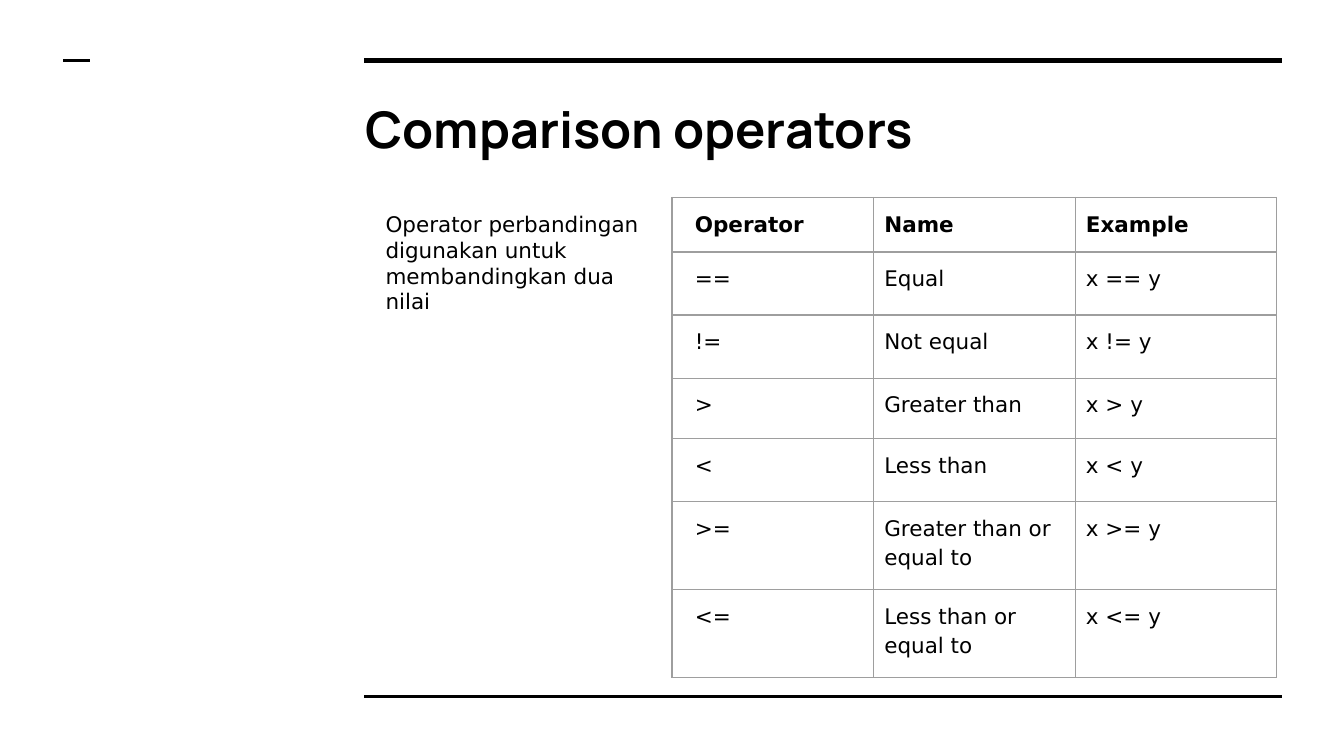
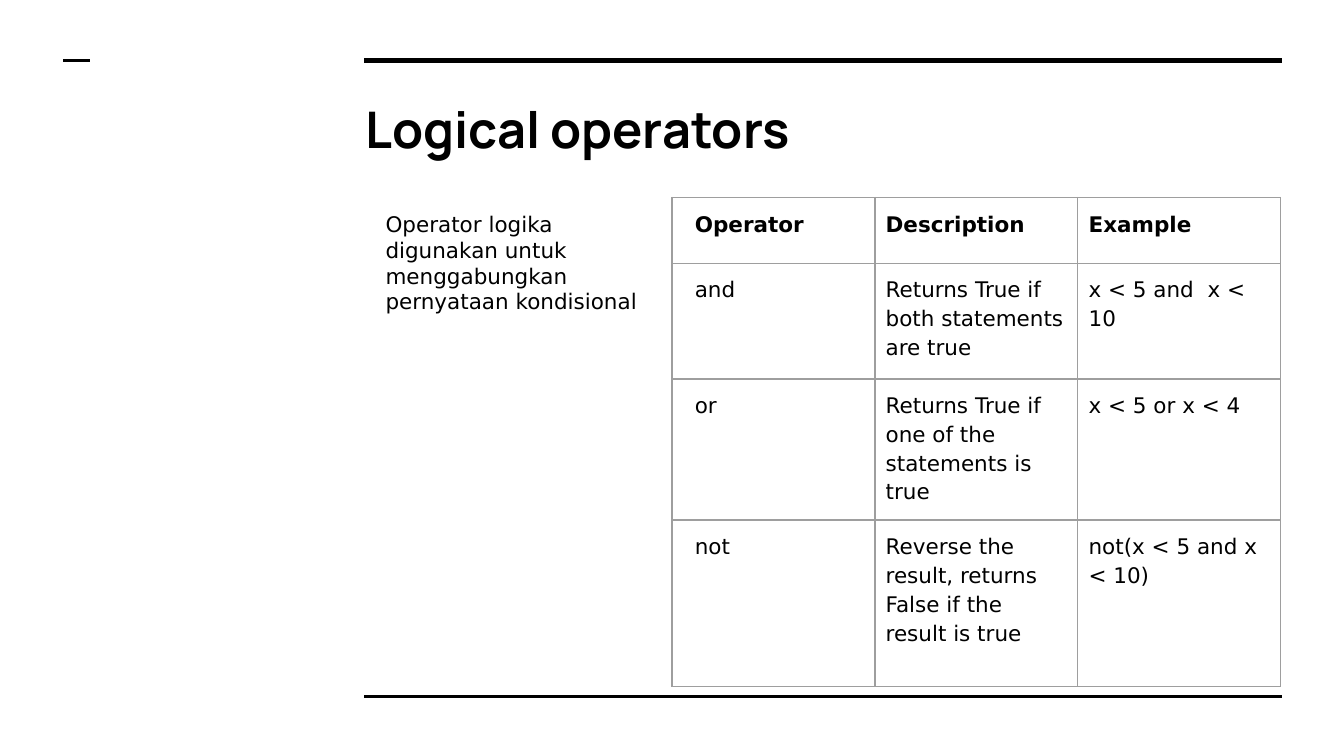
from dataclasses import dataclass

from lxml import etree
from pptx import Presentation
from pptx.dml.color import RGBColor
from pptx.enum.shapes import MSO_CONNECTOR
from pptx.enum.text import MSO_ANCHOR, MSO_AUTO_SIZE, PP_ALIGN
from pptx.oxml.ns import qn
from pptx.slide import Slide
from pptx.table import _Cell
from pptx.text.text import TextFrame
from pptx.util import Emu, Inches, Pt

STRAIGHT = MSO_CONNECTOR.STRAIGHT
TOP = MSO_ANCHOR.TOP
LEFT = PP_ALIGN.LEFT
NO_FIT = MSO_AUTO_SIZE.NONE
GROW = MSO_AUTO_SIZE.SHAPE_TO_FIT_TEXT

COLORS = {"ink": "000000", "paper": "FFFFFF", "border": "9E9E9E"}
TITLE_FONT = "Manrope"
BODY_FONT = "DejaVu Sans"
TITLE_SIZE = 27
BODY_SIZE = 11.5

SLIDE_WIDTH, SLIDE_HEIGHT = Inches(10), Inches(5.625)
COLUMN = SLIDE_WIDTH / 100
ROW = SLIDE_HEIGHT / 56.25


@dataclass(frozen=True)
class Area:
    left: float
    top: float
    width: float
    height: float


@dataclass(frozen=True)
class Rule:
    start: float
    end: float
    row: float
    weight: float


@dataclass(frozen=True)
class OperatorTopic:
    title: str
    summary: str
    column_width: float
    row_heights: tuple[float, ...]
    entries: tuple[tuple[str, str, str], ...]


RULES = (
    Rule(27.1, 95.4, 4.5, 3),
    Rule(27.1, 95.4, 51.8, 1.5),
    Rule(4.7, 6.7, 4.5, 1.5),
)
TITLE_AREA = Area(26.2, 6.3, 69.1, 6.9)
SUMMARY_AREA = Area(27.7, 14.7, 21.5, 9.8)
TABLE_LEFT, TABLE_TOP = 50, 14.7
CELL_INSET, FIRST_INSET = 0.8, 1.7

TOPICS = (
    OperatorTopic(
        "Comparison operators",
        "Operator perbandingan digunakan untuk membandingkan dua nilai",
        15,
        (4.05, 4.7, 4.7, 4.5, 4.7, 6.55, 6.55),
        (
            ("Operator", "Name", "Example"),
            ("==", "Equal", "x == y"),
            ("!=", "Not equal", "x != y"),
            (">", "Greater than", "x > y"),
            ("<", "Less than", "x < y"),
            (">=", "Greater than or equal to", "x >= y"),
            ("<=", "Less than or equal to", "x <= y"),
        ),
    ),
    OperatorTopic(
        "Logical operators",
        "Operator logika digunakan untuk menggabungkan pernyataan kondisional",
        15.1,
        (4.9, 8.6, 10.5, 12.4),
        (
            ("Operator", "Description", "Example"),
            ("and", "Returns True if both statements are true", "x < 5 and  x < 10"),
            ("or", "Returns True if one of the statements is true", "x < 5 or x < 4"),
            (
                "not",
                "Reverse the result, returns False if the result is true",
                "not(x < 5 and x < 10)",
            ),
        ),
    ),
)


def across(columns: float) -> Emu:
    return Emu(round(columns * COLUMN))


def down(rows: float) -> Emu:
    return Emu(round(rows * ROW))


def write(frame: TextFrame, text: str, font: str, size: float, bold: bool) -> None:
    frame.text = text
    paragraph = frame.paragraphs[0]
    paragraph.alignment = LEFT
    for run in paragraph.runs:
        run.font.name = font
        run.font.size = Pt(size)
        run.font.bold = bold
        run.font.color.rgb = RGBColor.from_string(COLORS["ink"])


def draw_rule(slide: Slide, rule: Rule) -> None:
    y = down(rule.row)
    line = slide.shapes.add_connector(
        STRAIGHT, across(rule.start), y, across(rule.end), y
    )
    line.line.color.rgb = RGBColor.from_string(COLORS["ink"])
    line.line.width = Pt(rule.weight)
    etree.SubElement(line._element.spPr, qn("a:effectLst"))


def draw_text(
    slide: Slide,
    area: Area,
    text: str,
    font: str,
    size: float,
    bold: bool,
    fit: MSO_AUTO_SIZE,
) -> None:
    box = slide.shapes.add_textbox(
        across(area.left), down(area.top), across(area.width), down(area.height)
    )
    frame = box.text_frame
    frame.margin_left = frame.margin_right = across(1)
    frame.margin_top = frame.margin_bottom = down(1)
    frame.vertical_anchor = TOP
    write(frame, text, font, size, bold)
    frame.word_wrap = True
    frame.auto_size = fit


def outline_cell(cell: _Cell) -> None:
    properties = cell._tc.get_or_add_tcPr()
    for side in ("a:lnL", "a:lnR", "a:lnT", "a:lnB"):
        edge = etree.SubElement(properties, qn(side), w=str(Pt(0.75)))
        fill = etree.SubElement(edge, qn("a:solidFill"))
        etree.SubElement(fill, qn("a:srgbClr"), val=COLORS["border"])


def fill_cell(cell: _Cell, text: str, is_header: bool, is_first: bool) -> None:
    outline_cell(cell)
    cell.fill.background()
    cell.margin_left = across(FIRST_INSET if is_first else CELL_INSET)
    cell.margin_right = across(CELL_INSET)
    cell.margin_top = cell.margin_bottom = down(CELL_INSET)
    cell.vertical_anchor = TOP
    write(cell.text_frame, text, BODY_FONT, BODY_SIZE, is_header)
    paragraph = cell.text_frame.paragraphs[0]
    paragraph.line_spacing = 1.15
    paragraph.space_before = paragraph.space_after = Pt(15)


def draw_operators(slide: Slide, topic: OperatorTopic) -> None:
    column_count = len(topic.entries[0])
    table = slide.shapes.add_table(
        len(topic.entries),
        column_count,
        across(TABLE_LEFT),
        down(TABLE_TOP),
        across(topic.column_width * column_count),
        down(sum(topic.row_heights)),
    ).table
    table.first_row = False
    table.horz_banding = False
    for column in table.columns:
        column.width = across(topic.column_width)
    for row_index, (height, entry) in enumerate(zip(topic.row_heights, topic.entries)):
        table.rows[row_index].height = down(height)
        for column_index, text in enumerate(entry):
            fill_cell(
                table.cell(row_index, column_index),
                text,
                row_index == 0,
                column_index == 0,
            )


def build_slide(slide: Slide, topic: OperatorTopic) -> None:
    background = slide.background.fill
    background.solid()
    background.fore_color.rgb = RGBColor.from_string(COLORS["paper"])
    for rule in RULES:
        draw_rule(slide, rule)
    draw_text(slide, TITLE_AREA, topic.title, TITLE_FONT, TITLE_SIZE, True, NO_FIT)
    draw_operators(slide, topic)
    draw_text(slide, SUMMARY_AREA, topic.summary, BODY_FONT, BODY_SIZE, False, GROW)


def main() -> None:
    deck = Presentation()
    deck.slide_width, deck.slide_height = SLIDE_WIDTH, SLIDE_HEIGHT
    blank = deck.slide_layouts[6]
    for topic in TOPICS:
        build_slide(deck.slides.add_slide(blank), topic)
    deck.save("out.pptx")


if __name__ == "__main__":
    main()
